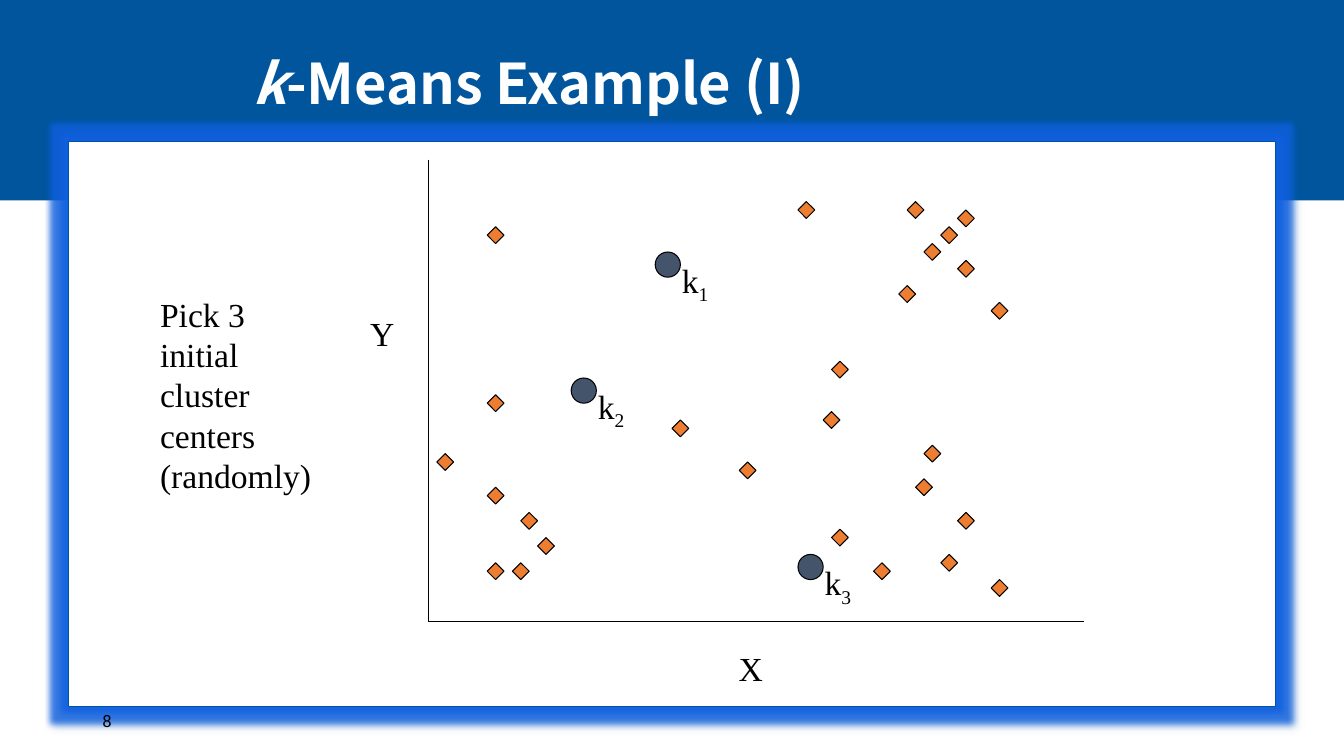
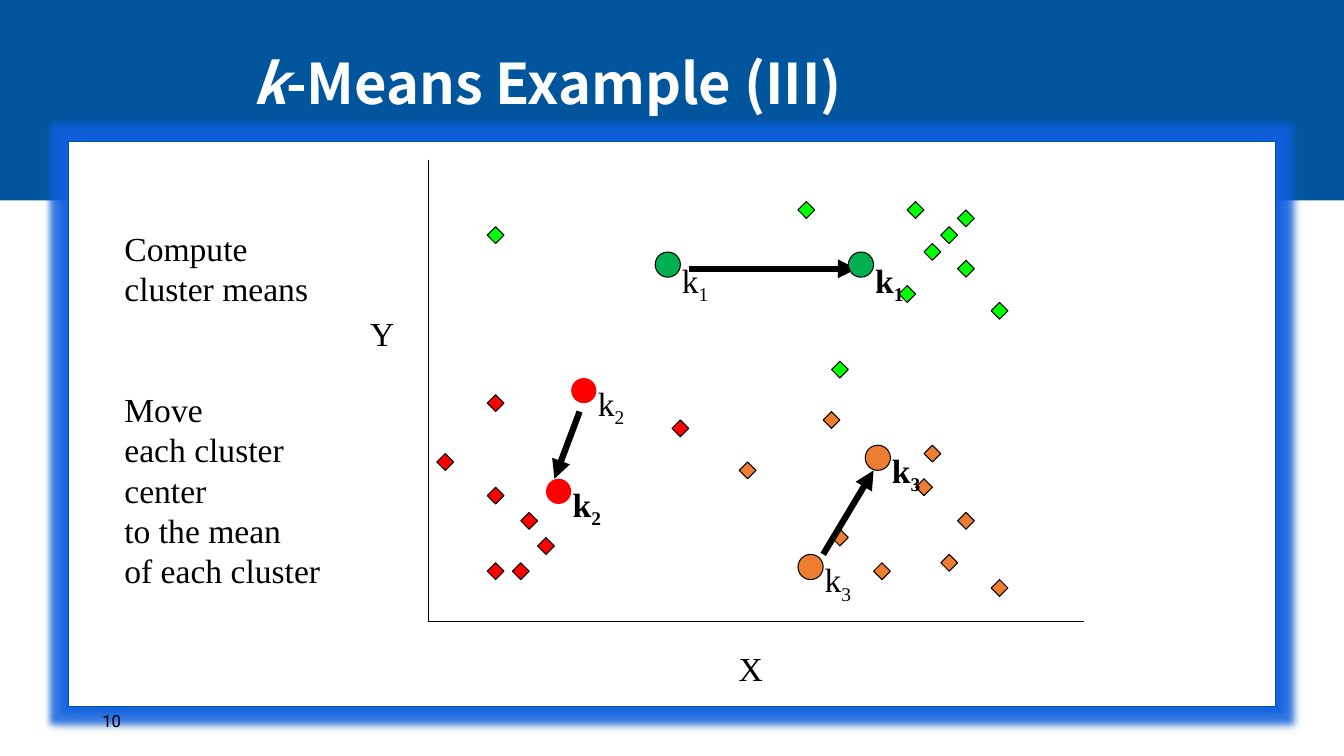
"""Build two slides that show the steps of k-means clustering."""
from dataclasses import dataclass

from lxml import etree
from pptx import Presentation
from pptx.dml.color import RGBColor
from pptx.enum.shapes import MSO_CONNECTOR, MSO_SHAPE
from pptx.enum.text import MSO_ANCHOR
from pptx.oxml import parse_xml
from pptx.oxml.ns import nsdecls, qn
from pptx.util import Emu, Pt

RECTANGLE = MSO_SHAPE.RECTANGLE
DIAMOND = MSO_SHAPE.DIAMOND
OVAL = MSO_SHAPE.OVAL
STRAIGHT = MSO_CONNECTOR.STRAIGHT
TOP = MSO_ANCHOR.TOP
MIDDLE = MSO_ANCHOR.MIDDLE

WHITE = RGBColor(0xFF, 0xFF, 0xFF)
BLACK = RGBColor(0x00, 0x00, 0x00)
BAND_BLUE = RGBColor(0x00, 0x55, 0x9D)
PANEL_BLUE = RGBColor(0x00, 0x55, 0xA2)
GLOW_BLUE = RGBColor(0x10, 0x60, 0xE0)
SLATE = RGBColor(0x44, 0x54, 0x6A)
ORANGE = RGBColor(0xED, 0x7D, 0x31)
RED = RGBColor(0xFF, 0x00, 0x00)
LIME = RGBColor(0x00, 0xFF, 0x00)
GREEN = RGBColor(0x00, 0xB0, 0x50)

TITLE_FONT = "Noto Sans CJK SC"
NUMBER_FONT = "Roboto"
BODY_FONT = "Times New Roman"
BODY_LEADING = Pt(28.8)

EMU_PER_PX = 9525
PAGE_WIDTH, PAGE_HEIGHT = 1280, 720
PLOT_BOX = (408, 152, 624, 440)
CELL = 8
POINT_SIZE = 16
CENTER_SIZE = 24

CLUSTER_1 = [(7, 8), (57, 5), (63, 6), (61, 8), (59, 10), (63, 12), (67, 17),
             (44, 5), (48, 24), (56, 15)]
CLUSTER_2 = [(11, 42), (13, 45), (10, 48), (7, 39), (7, 28), (7, 48), (1, 35),
             (29, 31)]
CLUSTER_3 = [(48, 44), (53, 48), (58, 38), (47, 30), (37, 36), (63, 42),
             (61, 47), (59, 34), (67, 50)]


@dataclass
class Center:
    """A cluster center on the plot grid, with its label."""
    number: int
    cell: tuple
    color: RGBColor
    moved: bool = False
    outlined: bool = True
    label_rise: int = 0


def px(*lengths):
    """Turn pixel lengths into EMU."""
    return [Emu(round(length * EMU_PER_PX)) for length in lengths]


def add_figure(page, kind, box, fill, line=None, weight=0.75):
    """Add a filled preset shape without a shadow."""
    figure = page.shapes.add_shape(kind, *px(*box))
    figure.shadow.inherit = False
    figure.fill.solid()
    figure.fill.fore_color.rgb = fill
    if line is None:
        figure.line.fill.background()
    else:
        figure.line.color.rgb = line
        figure.line.width = Pt(weight)
    return figure


def add_line(page, start, end, weight=0.75, arrow=False):
    """Add a straight black line, with an arrowhead at its end if asked."""
    line = page.shapes.add_connector(STRAIGHT, *px(*start, *end))
    line.line.color.rgb = BLACK
    line.line.width = Pt(weight)
    properties = line.element.spPr
    if arrow:
        outline = properties.find(qn("a:ln"))
        etree.SubElement(outline, qn("a:tailEnd"), type="triangle")
    etree.SubElement(properties, qn("a:effectLst"))


def add_text(page, box, lines, font=BODY_FONT, size=24, color=BLACK,
             bold=False, anchor=TOP, leading=BODY_LEADING):
    """Add a text box with one paragraph a line and return its paragraphs."""
    frame = page.shapes.add_textbox(*px(*box)).text_frame
    frame.word_wrap = True
    frame.vertical_anchor = anchor
    frame.text = "\n".join(lines)
    for para in frame.paragraphs:
        para.line_spacing = leading
        para.font.name = font
        para.font.size = Pt(size)
        para.font.bold = bold
        para.font.color.rgb = color
    return frame.paragraphs


def add_panel(page, box):
    """Add the white panel with its blue glow and shadow."""
    panel = add_figure(page, RECTANGLE, box, WHITE, PANEL_BLUE, 1)
    effects = panel.element.spPr.find(qn("a:effectLst"))
    effects.append(parse_xml(
        f'<a:glow {nsdecls("a")} rad="101600"><a:srgbClr val="{GLOW_BLUE}">'
        '<a:alpha val="80000"/></a:srgbClr></a:glow>'))
    effects.append(parse_xml(
        f'<a:outerShdw {nsdecls("a")} blurRad="50800" dist="38100" dir="2700000">'
        f'<a:srgbClr val="{PANEL_BLUE}"><a:alpha val="40000"/></a:srgbClr>'
        '</a:outerShdw>'))


def add_frame(deck, number, step):
    """Add a page with the band, panel, page number and title."""
    page = deck.slides.add_slide(deck.slide_layouts[6])
    add_figure(page, RECTANGLE, (-1, -1, PAGE_WIDTH + 2, 192), BAND_BLUE)
    add_panel(page, (65, 135, 1150, 538))
    add_text(page, (88, 667, 288, 38), [str(number)], NUMBER_FONT, 12,
             anchor=MIDDLE, leading=1.0)
    title, = add_text(page, (231, 40, 808, 84), ["k"], TITLE_FONT, 40, WHITE,
                      bold=True, anchor=MIDDLE, leading=0.9)
    title.runs[0].font.italic = True
    title.add_run().text = f"-Means Example ({step})"
    return page


def add_center(page, left, top, center):
    """Add a center and its subscripted label at a place on the page."""
    add_figure(page, OVAL, (left, top, CENTER_SIZE, CENTER_SIZE), center.color,
               BLACK if center.outlined else None)
    label_box = (left + 16, top + 8 - center.label_rise, 56, 48)
    label, = add_text(page, label_box, ["k"], bold=center.moved)
    subscript = label.add_run()
    subscript.text = str(center.number)
    subscript.font._element.set("baseline", "-25000")


def add_plot(page, box, clusters, centers, moves=()):
    """Add points, moves, axes and centers of a scatter plot in its box."""
    left, top, width, height = box

    def place(cell):
        """Turn a grid cell into a place on the page."""
        return left + cell[0] * CELL, top + cell[1] * CELL

    for cells, color in clusters:
        for cell in cells:
            add_figure(page, DIAMOND, (*place(cell), POINT_SIZE, POINT_SIZE),
                       color, BLACK)
    for start, end in moves:
        add_line(page, place(start), place(end), 4.5, arrow=True)
    corner = (left, top + height)
    add_line(page, (left, top), corner)
    add_line(page, corner, (left + width, top + height))
    add_text(page, (left + 286, top + height + 20, 42, 48), ["X"])
    add_text(page, (left - 65, top + 141, 42, 48), ["Y"])
    for center in centers:
        add_center(page, *place(center.cell), center)


def add_initial_slide(deck):
    """Add the slide that picks the initial centers."""
    page = add_frame(deck, 8, "I")
    clusters = [(cells, ORANGE) for cells in (CLUSTER_1, CLUSTER_2, CLUSTER_3)]
    centers = [Center(1, (27, 11), SLATE), Center(2, (17, 26), SLATE),
               Center(3, (44, 47), SLATE)]
    add_plot(page, PLOT_BOX, clusters, centers)
    add_text(page, (143, 275, 180, 242),
             ["Pick 3", "initial", "cluster", "centers", "(randomly)"])


def add_moving_slide(deck):
    """Add the slide that moves each center to its cluster mean."""
    page = add_frame(deck, 10, "III")
    clusters = [(CLUSTER_1, LIME), (CLUSTER_2, RED), (CLUSTER_3, ORANGE)]
    centers = [
        Center(1, (50, 11), GREEN, moved=True),
        Center(2, (17, 26), RED, outlined=False, label_rise=3),
        Center(2, (14, 38), RED, moved=True, outlined=False, label_rise=3),
        Center(1, (27, 11), GREEN),
        Center(3, (44, 47), ORANGE, label_rise=3),
        Center(3, (52, 34), ORANGE, moved=True, label_rise=3),
    ]
    moves = [((31, 13), (51, 13)), ((18, 30), (15, 38)), ((47, 47), (53, 37))]
    add_plot(page, PLOT_BOX, clusters, centers, moves)
    steps = add_text(page, (109, 212, 224, 397),
                     ["Compute cluster means", "Move", "each cluster center",
                      "to the mean", "of each cluster"])
    steps[1].space_before = 2 * BODY_LEADING


def main():
    """Build and save the deck."""
    deck = Presentation()
    deck.slide_width, deck.slide_height = px(PAGE_WIDTH, PAGE_HEIGHT)
    add_initial_slide(deck)
    add_moving_slide(deck)
    deck.save("out.pptx")


if __name__ == "__main__":
    main()
